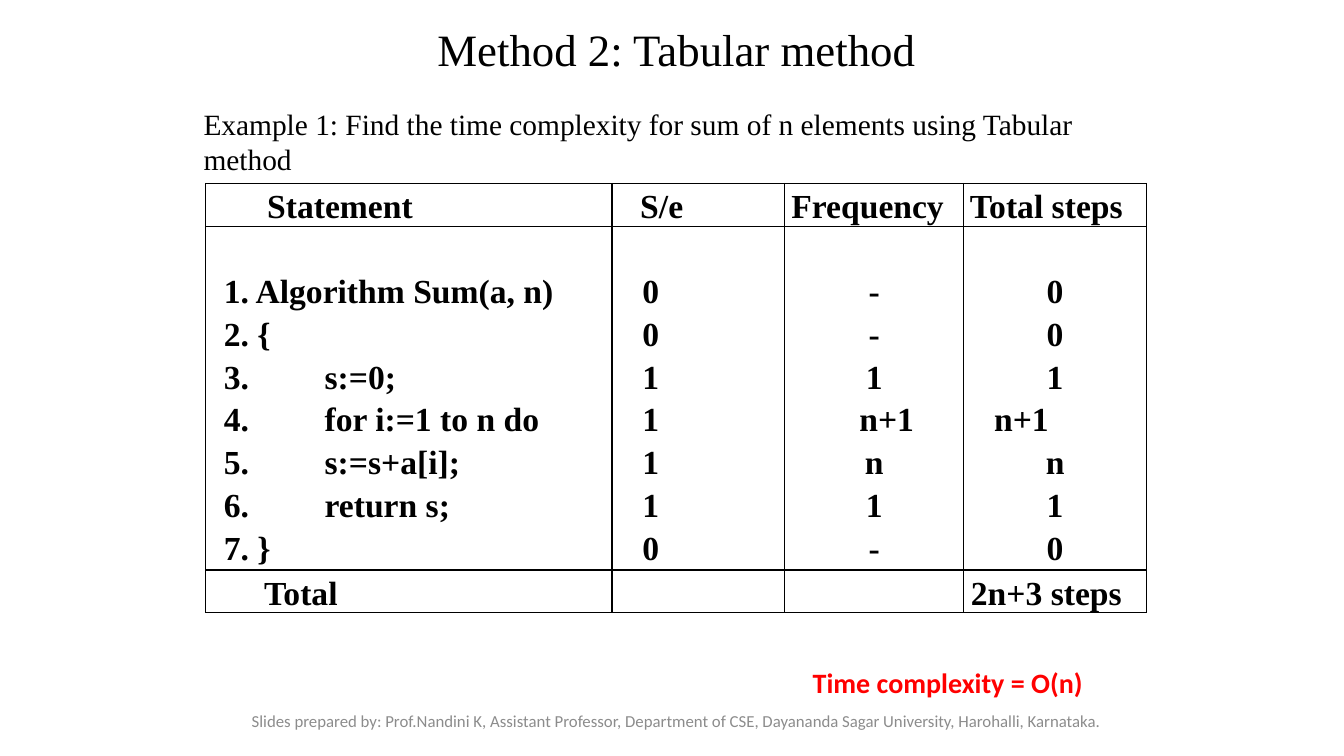
from dataclasses import dataclass

from lxml import etree
from pptx import Presentation
from pptx.dml.color import RGBColor
from pptx.enum.text import MSO_ANCHOR as Anchor, MSO_AUTO_SIZE as AutoSize, PP_ALIGN as Align
from pptx.oxml.ns import qn
from pptx.util import Inches, Pt

BLACK, RED, GRAY = "000000", "FF0000", "8C8C8C"
SERIF, SANS = "Times New Roman", "Calibri"
LEFT, CENTER = Align.LEFT, Align.CENTER


@dataclass
class Block:
    text: str
    box: tuple
    size: float
    font: str = SERIF
    color: str = BLACK
    bold: bool = False
    align: Align = LEFT
    anchor: Anchor = Anchor.TOP
    spacing: float = 1.0
    inset: float = 0.1


@dataclass
class Entry:
    text: str
    indent: float = 0
    align: Align = LEFT


HEADING = Block("Method 2: Tabular method", (1.92, 0.17, 9.58, 0.64), 32, align=CENTER)
NOTES = [
    Block("Example 1: Find the time complexity for sum of n elements using Tabular method",
          (1.92, 1, 9.58, 0.81), 21),
    Block("Time complexity = O(n)", (6.71, 6.5, 4.29, 0.49), 20, SANS, RED, True,
          spacing=1.15, inset=1.35),
    Block("Slides prepared by: Prof.Nandini K, Assistant Professor, Department of CSE, "
          "Dayananda Sagar University, Harohalli, Karnataka.",
          (1.86, 6.95, 9.7, 0.4), 12, SANS, GRAY, align=CENTER, anchor=Anchor.MIDDLE),
]

# Algorithm lines: statement, steps per execution, frequency, total steps
STEPS = [
    ("1. Algorithm Sum(a, n)", "0", "-", "0"),
    ("2. {", "0", "-", "0"),
    ("3.\ts:=0;", "1", "1", "1"),
    ("4.\tfor i:=1 to n do", "1", "n+1", "n+1"),
    ("5.\ts:=s+a[i];", "1", "n", "n"),
    ("6.\treturn s;", "1", "1", "1"),
    ("7. }", "0", "-", "0"),
]
COLUMN_WIDTHS = [4.03, 1.71, 1.78, 1.81]
ROW_HEIGHTS = [0.42, 0.84, 0.42, 0.42, 0.42, 0.42, 0.42, 0.45, 0.42]


def rgb(color: str) -> RGBColor:
    return RGBColor.from_string(color)


def style_run(run, size: float, font: str, color: str, bold: bool) -> None:
    for name, value in {"size": Pt(size), "name": font, "bold": bold}.items():
        setattr(run.font, name, value)
    run.font.color.rgb = rgb(color)


def fill_block(shape, block: Block) -> None:
    for name, value in zip(("left", "top", "width", "height"), block.box):
        setattr(shape, name, Inches(value))
    frame = shape.text_frame
    layout = {"word_wrap": True, "auto_size": AutoSize.NONE, "vertical_anchor": block.anchor,
              "margin_left": Inches(block.inset), "margin_right": Inches(0.1),
              "margin_top": Inches(0.05), "margin_bottom": Inches(0.05)}
    for name, value in layout.items():
        setattr(frame, name, value)
    paragraph = frame.paragraphs[0]
    paragraph.alignment, paragraph.line_spacing = block.align, block.spacing
    run = paragraph.add_run()
    run.text = block.text
    style_run(run, block.size, block.font, block.color, block.bold)


def add_borders(cell, ruled_sides: str) -> None:
    properties = cell._tc.get_or_add_tcPr()
    for side in "LRTB":
        line = etree.SubElement(properties, qn(f"a:ln{side}"), w=str(Pt(1)))
        if side in ruled_sides:
            solid = etree.SubElement(line, qn("a:solidFill"))
            etree.SubElement(solid, qn("a:srgbClr"), val=BLACK)
        else:
            etree.SubElement(line, qn("a:noFill"))


def fill_cell(cell, entry: Entry, ruled_sides: str) -> None:
    add_borders(cell, ruled_sides)
    cell.fill.background()
    layout = {"margin_left": Inches(entry.indent), "margin_right": 0,
              "margin_top": 0, "margin_bottom": 0}
    for name, value in layout.items():
        setattr(cell, name, value)
    if not entry.text:
        return
    paragraph = cell.text_frame.paragraphs[0]
    paragraph.alignment, paragraph.line_spacing = entry.align, 1.15
    if "\t" in entry.text:
        tabs = etree.SubElement(paragraph._p.get_or_add_pPr(), qn("a:tabLst"))
        etree.SubElement(tabs, qn("a:tab"), pos=str(Inches(1)), algn="l")
    run = paragraph.add_run()
    run.text = entry.text
    style_run(run, 24, SERIF, BLACK, True)


def step_entries(statement: str, per_execution: str, frequency: str, total: str) -> list[Entry]:
    loop = frequency == "n+1"
    return [Entry(statement, 0.18), Entry(per_execution, 0.3),
            Entry(frequency, 0.25 if loop else 0, CENTER),
            Entry(total, 0.3) if loop else Entry(total, 0, CENTER)]


def add_step_table(slide) -> None:
    header = [Entry("Statement", 0.61), Entry("S/e", 0.28),
              Entry("Frequency", 0.07), Entry("Total steps", 0.06)]
    totals = [Entry("Total", 0.58), Entry(""), Entry(""), Entry("2n+3 steps", 0.07)]
    rows = [header, *(step_entries(*step) for step in STEPS), totals]
    table = slide.shapes.add_table(len(rows), len(header), Inches(2.04), Inches(1.82),
                                   Inches(sum(COLUMN_WIDTHS)), Inches(sum(ROW_HEIGHTS))).table
    table.first_row = table.horz_banding = False
    for column, width in zip(table.columns, COLUMN_WIDTHS):
        column.width = Inches(width)
    last = len(rows) - 1
    for index, entries in enumerate(rows):
        table.rows[index].height = Inches(ROW_HEIGHTS[index])
        top = "T" if index in (0, 1, last) else ""
        bottom = "B" if index in (0, last - 1, last) else ""
        for column, entry in enumerate(entries):
            fill_cell(table.cell(index, column), entry, "LR" + top + bottom)
    # The first algorithm line sits at the foot of its tall row
    for cell in table.rows[1].cells:
        cell.vertical_anchor = Anchor.BOTTOM


def main() -> None:
    deck = Presentation()
    deck.slide_width, deck.slide_height = Inches(13.33), Inches(7.5)
    slide = deck.slides.add_slide(deck.slide_layouts[5])

    # Title
    fill_block(slide.shapes.title, HEADING)

    # Step count table
    add_step_table(slide)

    # Example, result and footer
    for note in NOTES:
        fill_block(slide.shapes.add_textbox(0, 0, 0, 0), note)

    deck.save("out.pptx")


if __name__ == "__main__":
    main()
